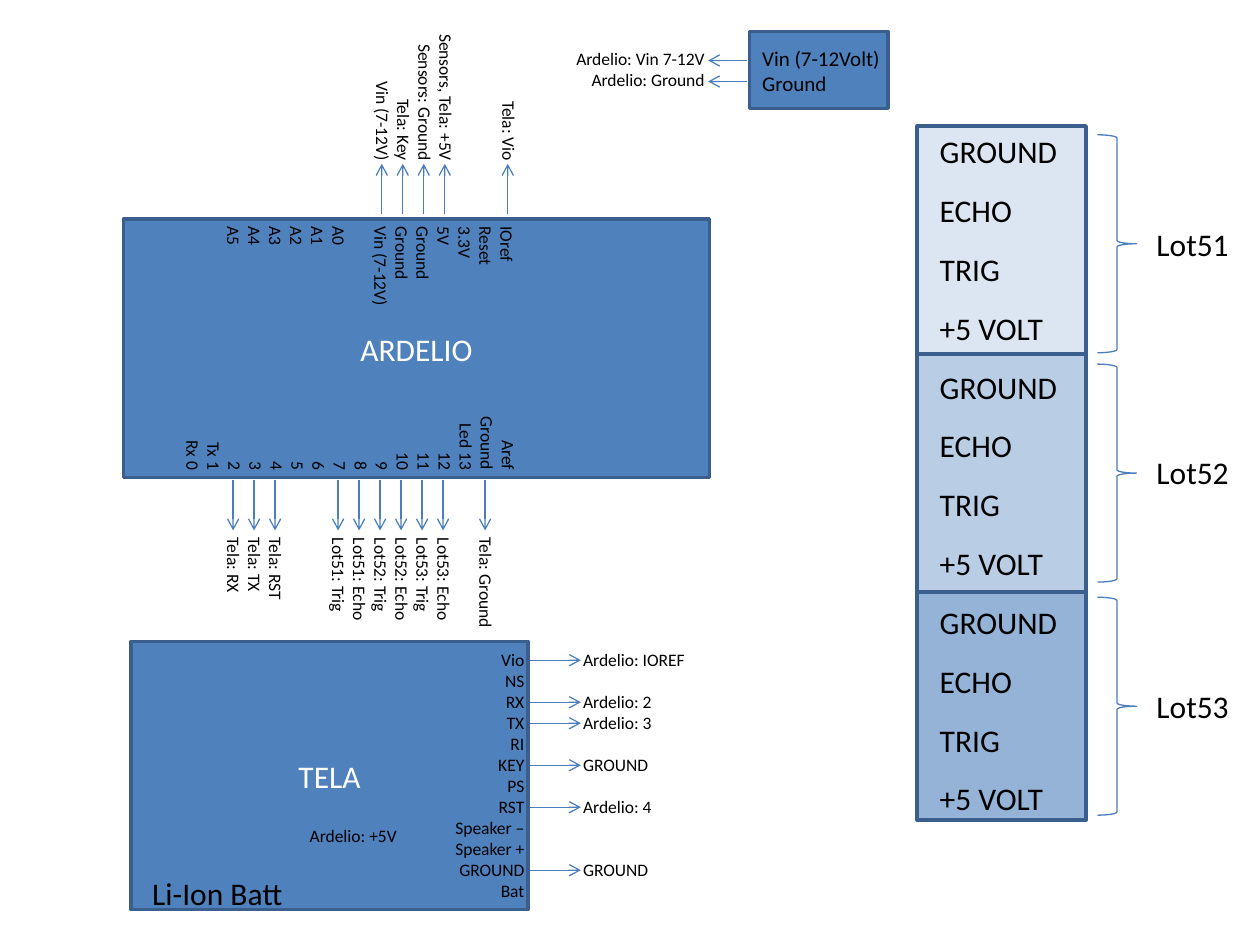
from lxml import etree
from pptx import Presentation, util as u
from pptx.dml.color import RGBColor
from pptx.enum import shapes, text
from pptx.oxml import ns

COLOURS = {"board": "4F81BD", "border": "3A5F8C", "wire": "4B7EBC",
           "light": "DCE6F2", "medium": "B9CDE5", "dark": "95B3D7",
           "black": "000000", "white": "FFFFFF"}
FONT = "Calibri"
COLUMNS, ROWS = 100, 75          # the slide is a grid of 0.1 inch cells
PIN_STEP = 5 / 3                 # cells from one pin to the next
PIN_POINTS = 12                  # the same step in points
LEFT, RIGHT, CENTER = text.PP_ALIGN.LEFT, text.PP_ALIGN.RIGHT, text.PP_ALIGN.CENTER
GAP = None                       # a pin without a label


def cells(*counts):
    """Turn grid counts into slide lengths."""
    return [u.Inches(count / 10) for count in counts]


def colour(name):
    """Look up a named colour."""
    return RGBColor.from_string(COLOURS[name])


def write(frame, lines, size=10, ink="black", align=LEFT, spacing=0):
    """Fill a text frame with lines; each GAP skips one pin step."""
    para, skipped = frame.paragraphs[0], 0
    for index, line in enumerate(lines):
        if line is GAP:
            skipped += 1
            continue
        if index > skipped and para.runs:
            para = frame.add_paragraph()
            para.space_before = u.Pt(spacing + skipped * PIN_POINTS)
        elif skipped:
            frame.margin_top += cells(skipped * PIN_STEP)[0]
        skipped = 0
        para.alignment = align
        para.space_after = u.Pt(spacing)
        span = para.add_run()
        span.text = line
        span.font.name, span.font.size = FONT, u.Pt(size)
        span.font.color.rgb = colour(ink)


def add_label(page, area, lines, turn=0, wrap=True, **style):
    """Add a text box, turned clockwise by the given degrees."""
    box = page.shapes.add_textbox(*cells(*area))
    box.rotation = turn
    box.text_frame.word_wrap = wrap
    box.text_frame.auto_size = text.MSO_AUTO_SIZE.NONE
    write(box.text_frame, lines, **style)


def add_block(page, area, fill="board", name=None):
    """Add a bordered rectangle with an optional centred name."""
    box = page.shapes.add_shape(shapes.MSO_SHAPE.RECTANGLE, *cells(*area))
    box.shadow.inherit = False
    box.fill.solid()
    box.fill.fore_color.rgb = colour(fill)
    box.line.color.rgb, box.line.width = colour("border"), u.Pt(2)
    if name:
        box.text_frame.vertical_anchor = text.MSO_ANCHOR.MIDDLE
        write(box.text_frame, [name], size=18, ink="white", align=CENTER)


def add_brace(page, area):
    """Add a right brace."""
    brace = page.shapes.add_shape(shapes.MSO_SHAPE.RIGHT_BRACE, *cells(*area))
    brace.shadow.inherit = False
    brace.fill.background()
    brace.line.color.rgb, brace.line.width = colour("wire"), u.Pt(0.75)


def add_arrow(page, start, end):
    """Add a wire with an open arrowhead at its end."""
    wire = page.shapes.add_connector(shapes.MSO_CONNECTOR.STRAIGHT,
                                     *cells(*start, *end))
    wire.line.color.rgb, wire.line.width = colour("wire"), u.Pt(0.75)
    etree.SubElement(wire.line._get_or_add_ln(), ns.qn("a:tailEnd"), type="arrow")
    etree.SubElement(wire._element.spPr, ns.qn("a:effectLst"))


def add_arrows(page, first, pins, run, vertical=False):
    """Add one arrow for each pin, all covering the same run."""
    for pin in pins:
        place = first + pin * PIN_STEP
        ends = [(place, reach) if vertical else (reach, place) for reach in run]
        add_arrow(page, *ends)


def add_sensors(page):
    """Draw the three sensor blocks, their pins, braces and names."""
    sensors = [("Lot53", "dark", 47, 18.1, 47.4, 54),
               ("Lot52", "medium", 28.1, 18.9, 28.9, 35.5),
               ("Lot51", "light", 10, 18.1, 10.7, 17.4)]
    for name, fill, top, height, brace_top, name_top in sensors:
        add_block(page, (72.8, top, 13.4, height), fill)
        add_brace(page, (87.1, brace_top, 3.1, 17.3))
        add_label(page, (90.8, name_top, 7.8, 4), [name], wrap=False, size=18)
    add_label(page, (73.6, 10, 15, 55.9),
              ["GROUND", "ECHO", "TRIG", "+5 VOLT"] * len(sensors),
              size=18, spacing=6)


def add_controller(page):
    """Draw the controller with its upper and lower pins."""
    add_block(page, (9.8, 17.4, 46.5, 20.5), name="ARDELIO")
    add_label(page, (23.6, 20.2, 8.3, 27.9),
              ["Aref", "Ground", "Led 13", *map(str, range(12, 1, -1)),
               "Tx 1", "Rx 0"], turn=90, align=RIGHT)
    add_arrows(page, 18.5, [0, 1, 2, *range(5, 11), 12], (38.1, 42.1), vertical=True)
    sensor_wires = [f"Lot{lot}: {pin}" for lot in (53, 52, 51)
                    for pin in ("Echo", "Trig")]
    add_label(page, (24.3, 34.4, 10, 24.6),
              [GAP, "Tela: Ground", GAP, *sensor_wires, GAP, GAP,
               "Tela: RST", "Tela: TX", "Tela: RX"], turn=90)
    add_label(page, (24.2, 8.1, 8.5, 26.3),
              ["IOref", "Reset", "3.3V", "5V", "Ground", "Ground", "Vin (7-12V)",
               GAP, *(f"A{pin}" for pin in range(6))], turn=90)
    add_arrows(page, 30.3, [0, 1, 2, 3, 6], (17, 13), vertical=True)
    add_label(page, (28.1, 0.1, 14.5, 12.8),
              ["Tela: Vio", GAP, GAP, "Sensors, Tela: +5V", "Sensors: Ground",
               "Tela: Key", "Vin (7-12V)"], turn=90, align=RIGHT)


def add_phone_module(page):
    """Draw the phone module with its pins and battery."""
    add_block(page, (10.4, 50.9, 31.5, 21.3), name="TELA")
    add_label(page, (34.3, 51, 8.3, 21.2),
              ["Vio", "NS", "RX", "TX", "RI", "KEY", "PS", "RST", "Speaker –",
               "Speaker +", "GROUND", "Bat"], align=RIGHT)
    add_arrows(page, 52.4, [0, 2, 3, 5, 7, 10], (42.1, 46.1))
    add_label(page, (45.3, 51, 11.4, 21.2),
              ["Ardelio: IOREF", GAP, "Ardelio: 2", "Ardelio: 3", GAP, "GROUND",
               GAP, "Ardelio: 4", GAP, GAP, "GROUND"])
    add_label(page, (23.6, 65, 9.5, 2.7), ["Ardelio: +5V"], wrap=False)
    add_label(page, (11.1, 68.9, 12.5, 4), ["Li-Ion Batt"], wrap=False, size=18)


def add_supply(page):
    """Draw the power supply and its two wires."""
    add_block(page, (59.5, 2.5, 11, 6.1))
    add_label(page, (59.5, 3.1, 11.8, 5), ["Vin (7-12Volt)", "Ground"], size=12)
    add_label(page, (39.7, 3.3, 17.2, 4.4),
              ["Ardelio: Vin 7-12V", "Ardelio: Ground"], align=RIGHT)
    add_arrows(page, 4.8, [0, 1], (59.3, 56.2))


def main():
    """Build and save the wiring diagram."""
    deck = Presentation()
    deck.slide_width, deck.slide_height = cells(COLUMNS, ROWS)
    page = deck.slides.add_slide(deck.slide_layouts[6])
    add_controller(page)
    add_sensors(page)
    add_phone_module(page)
    add_supply(page)
    deck.save("out.pptx")


main()
